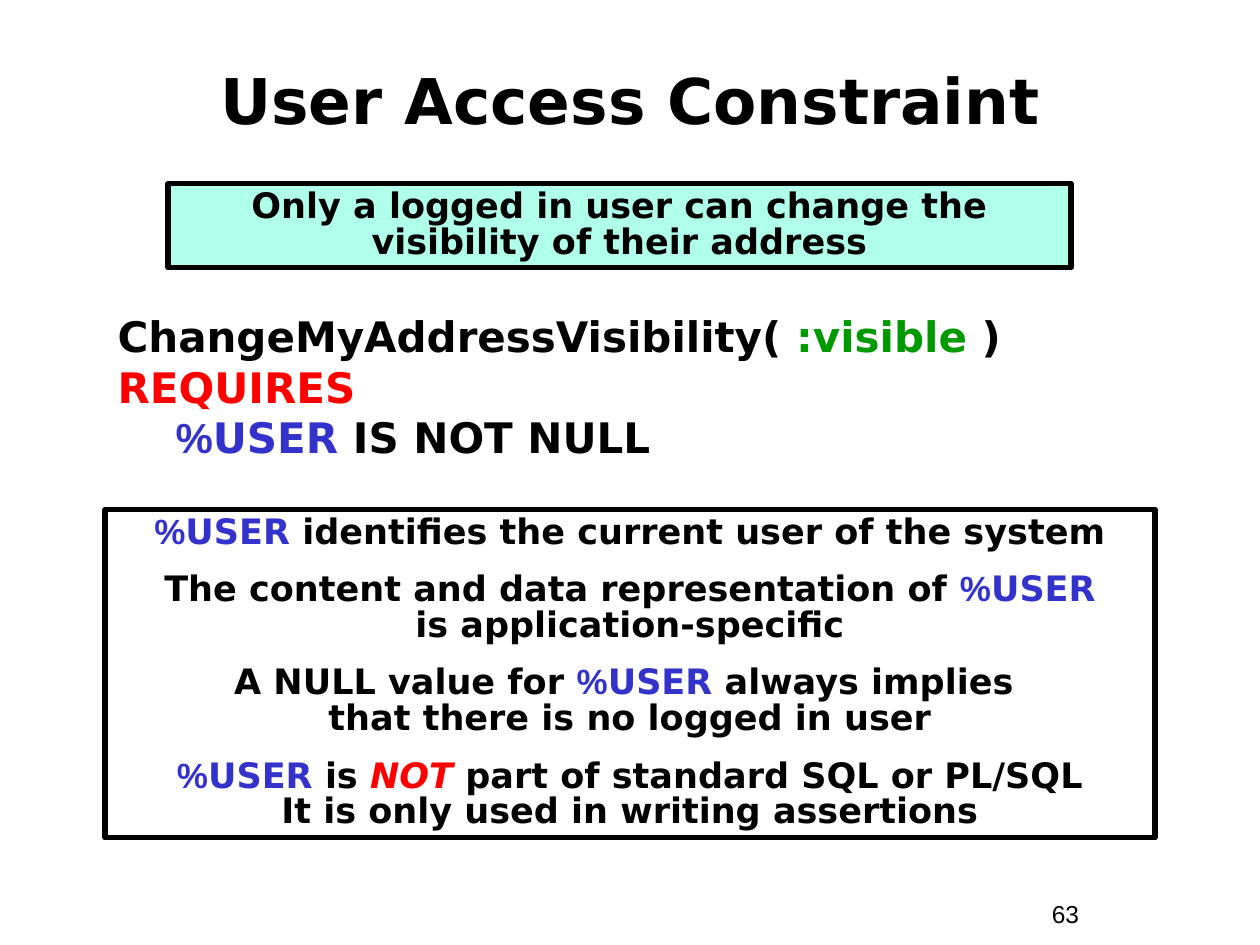
from dataclasses import dataclass

from pptx import Presentation
from pptx import util as u
from pptx.dml.color import RGBColor
from pptx.enum import shapes, text
from pptx.oxml.ns import qn
from lxml import etree


@dataclass(frozen=True)
class Theme:
    black: str = "000000"
    blue: str = "3333CC"
    green: str = "009900"
    red: str = "FF0000"
    mint: str = "AFFFEA"
    font: str = "DejaVu Sans"
    plain_font: str = "Arial"
    title: int = 36
    code: int = 24
    note: int = 20
    number: int = 14
    border: int = 3
    note_gap: float = 12.5
    note_spacing: float = 0.85


T = Theme()
COLS, ROWS = 120, 90
CENTER = text.PP_ALIGN.CENTER
LEFT = text.PP_ALIGN.LEFT

USER = [("%", T.blue, T.plain_font), ("USER", T.blue)]


def grid(prs, col, row, cols, rows):
    w, h = prs.slide_width / COLS, prs.slide_height / ROWS
    return [round(n) for n in (col * w, row * h, cols * w, rows * h)]


def place(sp, box):
    sp.left, sp.top, sp.width, sp.height = box


def style(r, size, color=T.black, font=T.font, bold=True, italic=False):
    r.font.size = u.Pt(size)
    r.font.name = font
    r.font.bold = bold
    r.font.italic = italic
    r.font.color.rgb = RGBColor.from_string(color)


def write(tf, lines, size, align):
    tf.word_wrap = True
    for i, line in enumerate(lines):
        p = tf.paragraphs[0] if i == 0 else tf.add_paragraph()
        p.alignment = align
        p.space_before = u.Pt(0)
        for content, *look in line:
            for j, part in enumerate(content.split("\n")):
                if j:
                    p.add_line_break()
                if part:
                    r = p.add_run()
                    r.text = part
                    style(r, size, *look)


def add_title(s, box, content):
    sp = s.shapes.title
    place(sp, box)
    tf = sp.text_frame
    tf.text = content
    tf.auto_size = text.MSO_AUTO_SIZE.NONE
    tf.vertical_anchor = text.MSO_ANCHOR.MIDDLE
    p = tf.paragraphs[0]
    p.alignment = CENTER
    style(p.runs[0], T.title)


def add_note(s, box, lines, fill=None):
    sp = s.shapes.add_shape(shapes.MSO_SHAPE.RECTANGLE, *box)
    sp.shadow.inherit = False
    if fill:
        sp.fill.solid()
        sp.fill.fore_color.rgb = RGBColor.from_string(fill)
    else:
        sp.fill.background()
    sp.line.color.rgb = RGBColor.from_string(T.black)
    sp.line.width = u.Pt(T.border)
    tf = sp.text_frame
    tf.vertical_anchor = text.MSO_ANCHOR.TOP
    write(tf, lines, T.note, CENTER)
    for i, p in enumerate(tf.paragraphs):
        p.line_spacing = T.note_spacing
        p.space_before = u.Pt(T.note_gap if i else 0)


def add_rule(s, box, lines, indents):
    sp = s.placeholders[1]
    place(sp, box)
    tf = sp.text_frame
    tf.auto_size = text.MSO_AUTO_SIZE.NONE
    write(tf, lines, T.code, LEFT)
    for p, indent in zip(tf.paragraphs, indents):
        pPr = p._p.get_or_add_pPr()
        pPr.set("marL", str(u.Inches(indent)))
        pPr.set("indent", "0")
        etree.SubElement(pPr, qn("a:buNone"))


def add_number(s, box, content):
    tf = s.shapes.add_textbox(*box).text_frame
    tf.word_wrap = True
    tf.text = content
    style(tf.paragraphs[0].runs[0], T.number, font=T.plain_font, bold=False)


def main():
    prs = Presentation()
    prs.slide_width, prs.slide_height = u.Inches(10), u.Inches(7.5)
    s = prs.slides.add_slide(prs.slide_layouts[1])

    add_title(s, grid(prs, 4, 4, 112, 11), "User Access Constraint")
    add_note(s, grid(prs, 16, 17.5, 86, 8), [
        [("Only a logged in user can change the visibility of their address",)],
    ], T.mint)
    add_rule(s, grid(prs, 10, 29, 91, 20), [
        [("ChangeMyAddressVisibility( ",), (":visible", T.green), (" )",)],
        [("REQUIRES", T.red)],
        [*USER, (" IS NOT NULL",)],
    ], [0, 0, 0.46])
    add_note(s, grid(prs, 10, 48.5, 100, 31.3), [
        [*USER, (" identifies the current user of the system",)],
        [("The content and data representation of ",), *USER,
         ("\nis application-specific",)],
        [("A NULL value for ",), *USER,
         (" always implies \nthat there is no logged in user",)],
        [*USER, (" is ",), ("NOT", T.red, T.font, True, True),
         (" part of standard SQL or PL/SQL\nIt is only used in writing assertions",)],
    ])
    add_number(s, grid(prs, 99, 85, 11, 4), "63")
    prs.save("out.pptx")


if __name__ == "__main__":
    main()
